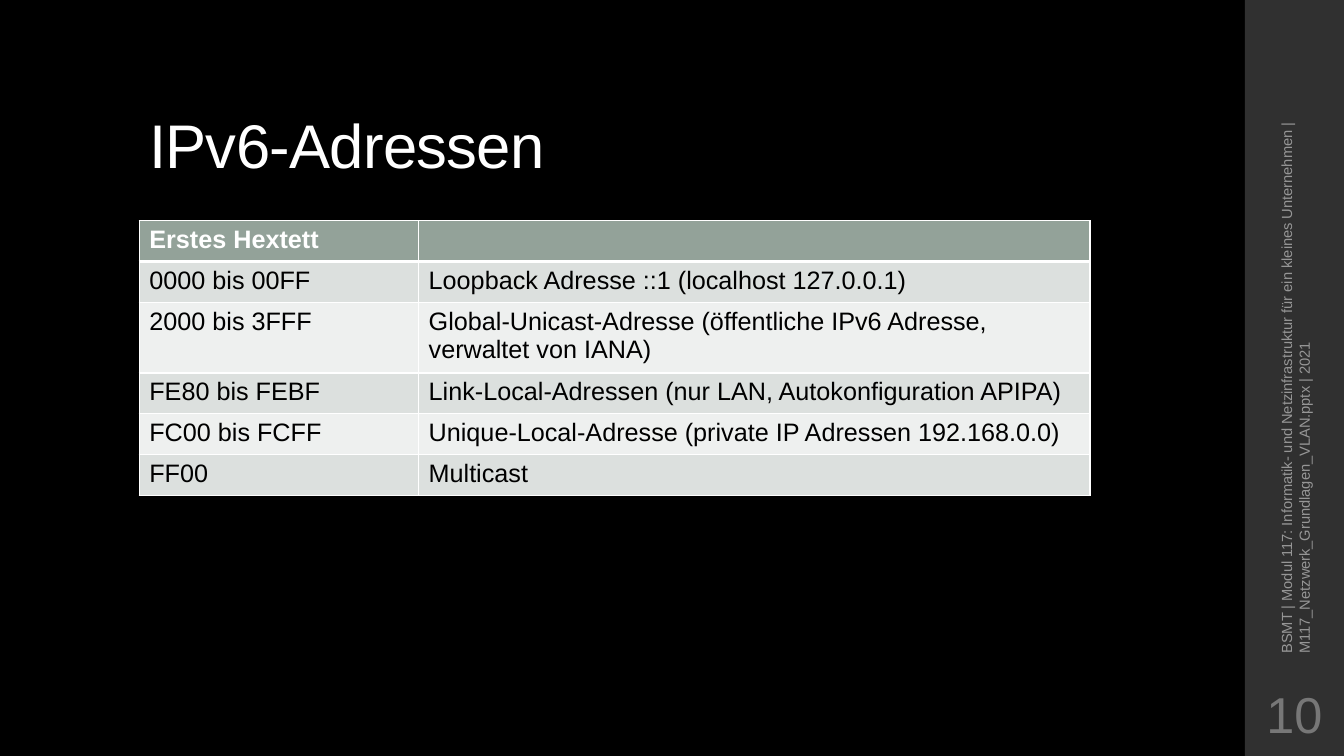
import pptx
import pptx.util
import pptx.dml.color
import pptx.enum.shapes
import pptx.enum.text
import pptx.oxml
import pptx.oxml.ns
from dataclasses import dataclass

Cm = pptx.util.Cm
Pt = pptx.util.Pt

TITLE = "IPv6-Adressen"
FOOTER = (
    "BSMT | Modul 117: Informatik- und Netzinfrastruktur für ein kleines "
    "Unternehmen | M117_Netzwerk_Grundlagen_VLAN.pptx | 2021"
)
PAGE_NUMBER = "10"
ADDRESS_RANGES = [
    ("Erstes Hextett", ""),
    ("0000 bis 00FF", "Loopback Adresse ::1 (localhost 127.0.0.1)"),
    ("2000 bis 3FFF", "Global-Unicast-Adresse (öffentliche IPv6 Adresse, verwaltet von IANA)"),
    ("FE80 bis FEBF", "Link-Local-Adressen (nur LAN, Autokonfiguration APIPA)"),
    ("FC00 bis FCFF", "Unique-Local-Adresse (private IP Adressen 192.168.0.0)"),
    ("FF00", "Multicast"),
]


@dataclass(frozen=True)
class Theme:
    font: str = "Arial"
    background: str = "000000"
    sidebar: str = "303030"
    light: str = "FFFFFF"
    dark: str = "000000"
    footer: str = "969696"
    number: str = "777777"
    header: str = "93A299"
    bands: tuple = ("EEF0EF", "DCE0DE")
    title_size: float = 44
    table_size: float = 18
    footer_size: float = 10.5
    number_size: float = 36
    rule: float = 1
    header_rule: float = 3


THEME = Theme()
SLIDE_WIDTH, SLIDE_HEIGHT = 33.87, 19.05
CONTENT_LEFT = 3.51
SIDEBAR_LEFT = 31.37
SIDEBAR_WIDTH = SLIDE_WIDTH - SIDEBAR_LEFT
TABLE_TOP = 5.56
COLUMN_WIDTHS = (7.04, 16.92)
LINE_HEIGHT, TWO_LINE_HEIGHT = 1.03, 1.7
CHARACTERS_PER_LINE = 60


def rgb(value):
    return pptx.dml.color.RGBColor.from_string(value)


def paint(fill, color):
    fill.solid()
    fill.fore_color.rgb = rgb(color)


def style(paragraph, size, color, bold=False):
    paragraph.font.name = THEME.font
    paragraph.font.size = Pt(size)
    paragraph.font.color.rgb = rgb(color)
    paragraph.font.bold = bold


def add_text(slide, box, text, size, color, anchor):
    label = slide.shapes.add_textbox(*map(Cm, box))
    frame = label.text_frame
    frame.word_wrap = True
    frame.vertical_anchor = anchor
    paragraph = frame.paragraphs[0]
    paragraph.text = text
    style(paragraph, size, color)
    return label


def add_borders(cell, widths):
    properties = cell._tc.get_or_add_tcPr()
    for side, width in zip("LRTB", widths):
        properties.append(pptx.oxml.parse_xml(
            f'<a:ln{side} {pptx.oxml.ns.nsdecls("a")} w="{Pt(width)}">'
            f'<a:solidFill><a:srgbClr val="{THEME.light}"/></a:solidFill></a:ln{side}>'
        ))


def add_ranges(slide):
    heights = [
        TWO_LINE_HEIGHT if len(use) > CHARACTERS_PER_LINE else LINE_HEIGHT
        for _, use in ADDRESS_RANGES
    ]
    ranges = slide.shapes.add_table(
        len(ADDRESS_RANGES), len(COLUMN_WIDTHS), Cm(CONTENT_LEFT), Cm(TABLE_TOP),
        Cm(sum(COLUMN_WIDTHS)), Cm(sum(heights)),
    ).table
    for column, width in zip(ranges.columns, COLUMN_WIDTHS):
        column.width = Cm(width)
    for row_index, (row, height, texts) in enumerate(zip(ranges.rows, heights, ADDRESS_RANGES)):
        row.height = Cm(height)
        is_header = row_index == 0
        top = THEME.header_rule if row_index == 1 else THEME.rule
        bottom = THEME.header_rule if is_header else THEME.rule
        for cell, text in zip(row.cells, texts):
            cell.text = text
            style(cell.text_frame.paragraphs[0], THEME.table_size,
                  THEME.light if is_header else THEME.dark, is_header)
            add_borders(cell, (THEME.rule, THEME.rule, top, bottom))
            paint(cell.fill, THEME.header if is_header else THEME.bands[row_index % 2])


def main():
    presentation = pptx.Presentation()
    presentation.slide_width = Cm(SLIDE_WIDTH)
    presentation.slide_height = Cm(SLIDE_HEIGHT)
    slide = presentation.slides.add_slide(presentation.slide_layouts[6])
    paint(slide.background.fill, THEME.background)
    anchors = pptx.enum.text.MSO_ANCHOR

    sidebar = slide.shapes.add_shape(
        pptx.enum.shapes.MSO_SHAPE.RECTANGLE,
        Cm(SIDEBAR_LEFT), 0, Cm(SIDEBAR_WIDTH), Cm(SLIDE_HEIGHT),
    )
    sidebar.shadow.inherit = False
    paint(sidebar.fill, THEME.sidebar)
    sidebar.line.fill.background()

    title = add_text(slide, (CONTENT_LEFT, 1.02, 26.92, 3.68), TITLE,
                     THEME.title_size, THEME.light, anchors.BOTTOM)
    heading = title.text_frame.paragraphs[0]
    heading.line_spacing = 0.9
    heading.runs[0]._r.get_or_add_rPr().set("spc", "-50")

    footer = add_text(slide, (25.02, 8.59, 15.24, 1.02), FOOTER,
                      THEME.footer_size, THEME.footer, anchors.MIDDLE)
    footer.rotation = 270

    number = add_text(slide, (SIDEBAR_LEFT, 17.15, SIDEBAR_WIDTH, 1.65), PAGE_NUMBER,
                      THEME.number_size, THEME.number, anchors.MIDDLE)
    number.text_frame.margin_left = number.text_frame.margin_right = Cm(0.13)
    number.text_frame.paragraphs[0].alignment = pptx.enum.text.PP_ALIGN.CENTER

    add_ranges(slide)
    presentation.save("out.pptx")


if __name__ == "__main__":
    main()
